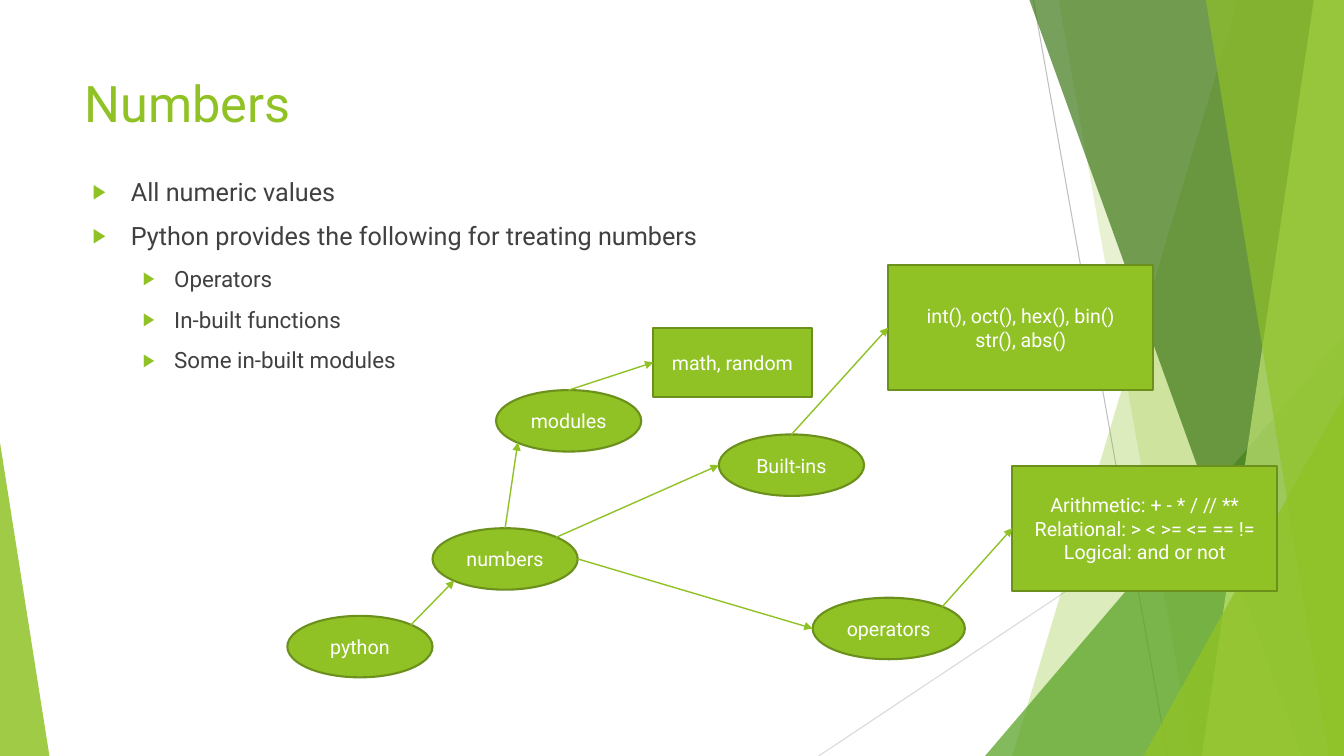
import pptx
import pptx.util
import pptx.dml.color
import pptx.enum.shapes
import pptx.enum.text
import pptx.oxml
import pptx.oxml.ns

PX = 9144
WIDE, HIGH = 1333, 750
FONT = "Roboto"
LIME, EDGE, WHITE, DARK = "90C226", "6B901C", "FFFFFF", "404040"

TITLE = ("Numbers", (74, 67, 940, 144))
BODY = (82, 170, 940, 424)
LEVELS = [
    {"size": 18, "left": 38, "hang": 38},
    {"size": 16, "left": 81, "hang": 31},
]
ITEMS = [
    (0, "All numeric values"),
    (0, "Python provides the following for treating numbers"),
    (1, "Operators"),
    (1, "In-built functions"),
    (1, "Some in-built modules"),
]

RAYS = [((1025, 0), (1158, 750), "BFBFBF"), ((1333, 403), (812, 750), "D9D9D9")]
DECOR = [
    ("band", (1228, 1333, 1333, 1004), LIME, 30),
    ("band", (1050, 1333, 1333, 1183), LIME, 20),
    ("wedge", (977, 333, 356, 417, 1), "54A021", 72),
    ("band", (1021, 1333, 1333, 1291), "3F7819", 70),
    ("band", (1303, 1333, 1333, 1192), "C0E474", 70),
    ("band", (1196, 1333, 1333, 1318), LIME, 65),
    ("wedge", (1134, 393, 199, 357, 1), LIME, 80),
    ("wedge", (0, 439, 49, 311, 0), LIME, 85),
]

NODES = {
    "python": ("OVAL", (285, 611, 144, 61), ["python"]),
    "numbers": ("OVAL", (429, 524, 144, 61), ["numbers"]),
    "modules": ("OVAL", (492, 387, 144, 61), ["modules"]),
    "built": ("OVAL", (713, 431, 144, 61), ["Built-ins"]),
    "ops": ("OVAL", (806, 593, 151, 61), ["operators"]),
    "signs": ("RECTANGLE", (1004, 462, 263, 124), [
        "Arithmetic: + - * / // **",
        "Relational: > < >= <= == !=",
        "Logical: and or not",
    ]),
    "calls": ("RECTANGLE", (881, 263, 263, 124), [
        "int(), oct(), hex(), bin()",
        "str(), abs()",
    ]),
    "libs": ("RECTANGLE", (648, 325, 157, 69), ["math, random"]),
}
SITES = {
    "top": (0, 0.5, 0),
    "left": (2, 0, 0.5),
    "low left": (3, 0.15, 0.85),
    "right": (6, 1, 0.5),
    "top right": (7, 0.85, 0.15),
    "side": (1, 0, 0.5),
}
LINKS = [
    ("python", "top right", "numbers", "low left"),
    ("numbers", "top", "modules", "low left"),
    ("numbers", "top right", "built", "left"),
    ("numbers", "right", "ops", "left"),
    ("ops", "top right", "signs", "side"),
    ("built", "top", "calls", "side"),
    ("modules", "top", "libs", "side"),
]


def emu(*nums):
    return [round(n * PX) for n in nums]


def tint(code):
    return pptx.dml.color.RGBColor.from_string(code)


def apply(thing, vals):
    for name, val in vals.items():
        setattr(thing, name, val)


def child(node, tag, **vals):
    part = pptx.oxml.ns.qn("a:" + tag)
    item = node.makeelement(part, vals)
    node.append(item)
    return item


def paint(shape, code, alpha=100, edge=None):
    shape.shadow.inherit = False
    shape.fill.solid()
    shape.fill.fore_color.rgb = tint(code)
    if alpha < 100:
        tone = shape.fill._xPr.find(".//" + pptx.oxml.ns.qn("a:srgbClr"))
        child(tone, "alpha", val=str(alpha * 1000))
    if edge:
        shape.line.color.rgb = tint(edge)
        shape.line.width = pptx.util.Pt(1.5)
    else:
        shape.line.fill.background()


def write(para, text, size, code):
    run = para.add_run()
    run.text = text
    apply(run.font, {"name": FONT, "size": pptx.util.Pt(size)})
    run.font.color.rgb = tint(code)


def draw(start, end, code, width):
    kind = pptx.enum.shapes.MSO_CONNECTOR.STRAIGHT
    line = slide.shapes.add_connector(kind, *emu(*start, *end))
    line.line.color.rgb = tint(code)
    line.line.width = pptx.util.Pt(width)
    child(line._element.spPr, "effectLst")
    return line


def text_box(box):
    frame = slide.shapes.add_textbox(*emu(*box)).text_frame
    frame.word_wrap = True
    return frame


def add_decor(kind, nums, code, alpha):
    if kind == "band":
        spots = list(zip(nums, (0, 0, HIGH, HIGH)))
        form = slide.shapes.build_freeform(*spots[0], scale=PX)
        form.add_line_segments(spots[1:], close=True)
        shape = form.convert_to_shape()
    else:
        peak = pptx.enum.shapes.MSO_SHAPE.ISOSCELES_TRIANGLE
        shape = slide.shapes.add_shape(peak, *emu(*nums[:4]))
        shape.adjustments[0] = nums[4]
    paint(shape, code, alpha)


def add_item(para, level, text):
    look = LEVELS[level]
    left, hang = emu(look["left"], look["hang"])
    apply(para, {"level": level, "space_before": pptx.util.Pt(10)})
    props = para._p.get_or_add_pPr()
    props.set("marL", str(left))
    props.set("indent", str(-hang))
    child(child(props, "buClr"), "srgbClr", val=LIME)
    child(props, "buSzPct", val="80000")
    child(props, "buFont", typeface="Arial")
    child(props, "buChar", char="▶")
    write(para, text, look["size"], DARK)


def add_node(kind, box, lines):
    form = getattr(pptx.enum.shapes.MSO_SHAPE, kind)
    shape = slide.shapes.add_shape(form, *emu(*box))
    paint(shape, LIME, edge=EDGE)
    frame = shape.text_frame
    apply(frame, {"word_wrap": True,
                  "vertical_anchor": pptx.enum.text.MSO_ANCHOR.MIDDLE})
    for num, text in enumerate(lines):
        para = frame.add_paragraph() if num else frame.paragraphs[0]
        para.alignment = pptx.enum.text.PP_ALIGN.CENTER
        write(para, text, 14, WHITE)
    return shape


def spot(name, site):
    left, top, wide, high = NODES[name][1]
    _, across, down = SITES[site]
    return left + across * wide, top + down * high


def add_link(tail, out, head, into):
    line = draw(spot(tail, out), spot(head, into), LIME, 1)
    child(line.line._get_or_add_ln(), "tailEnd", type="triangle")
    ends = line._element.nvCxnSpPr.cNvCxnSpPr
    apply(ends.get_or_add_stCxn(),
          {"id": shapes[tail].shape_id, "idx": SITES[out][0]})
    apply(ends.get_or_add_endCxn(),
          {"id": shapes[head].shape_id, "idx": SITES[into][0]})


deck = pptx.Presentation()
deck.slide_width, deck.slide_height = emu(WIDE, HIGH)
slide = deck.slides.add_slide(deck.slide_layouts[6])

for start, end, code in RAYS:
    draw(start, end, code, 0.75)
for part in DECOR:
    add_decor(*part)

write(text_box(TITLE[1]).paragraphs[0], TITLE[0], 36, LIME)
body = text_box(BODY)
for num, item in enumerate(ITEMS):
    add_item(body.add_paragraph() if num else body.paragraphs[0], *item)

shapes = {name: add_node(*node) for name, node in NODES.items()}
for link in LINKS:
    add_link(*link)

deck.save("out.pptx")
